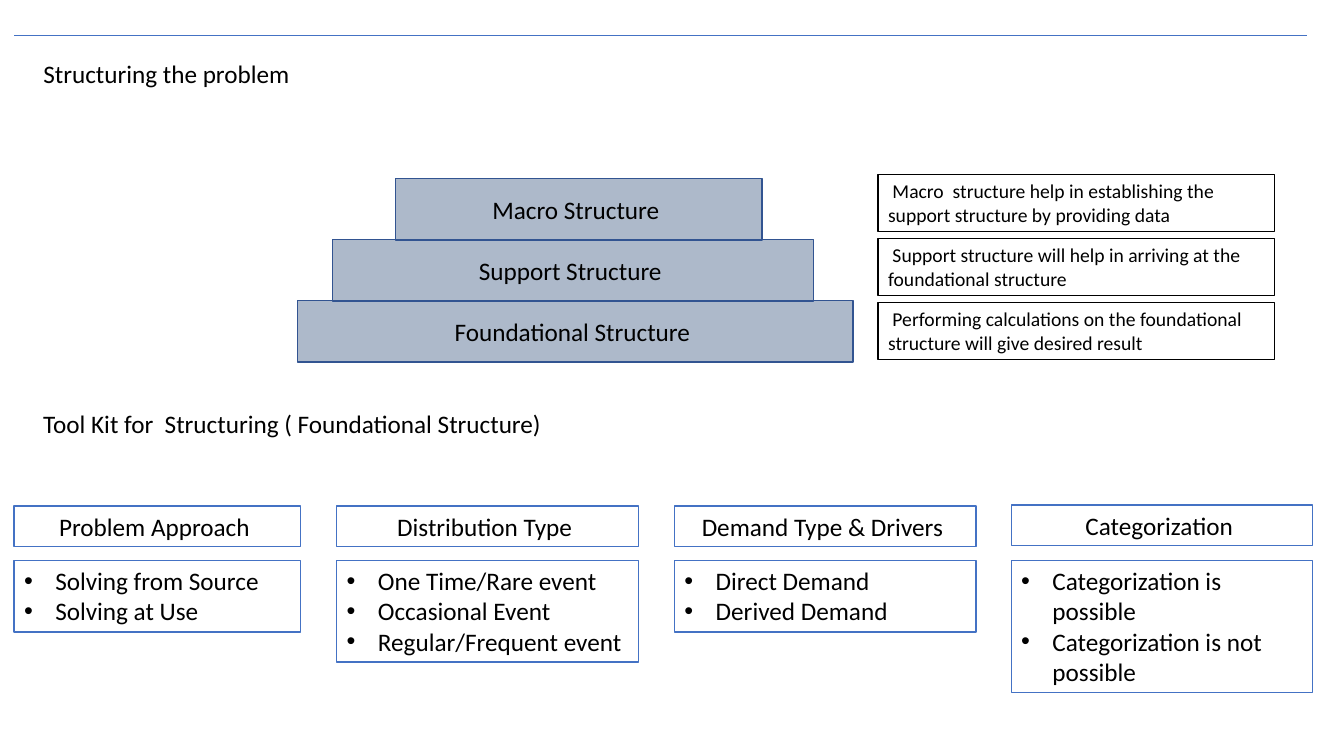
from lxml import etree
from pptx import Presentation
from pptx.dml.color import RGBColor
from pptx.enum.shapes import MSO_CONNECTOR, MSO_SHAPE
from pptx.enum.text import MSO_ANCHOR, MSO_AUTO_SIZE, PP_ALIGN
from pptx.oxml.ns import qn
from pptx.util import Inches, Pt

COLORS = {"blue": "4472C4", "navy": "325491", "steel": "ADB9CA",
          "white": "FFFFFF", "black": "000000"}
HEADER = {"vertical_anchor": MSO_ANCHOR.MIDDLE}
BODY = {"vertical_anchor": MSO_ANCHOR.TOP, "auto_size": MSO_AUTO_SIZE.SHAPE_TO_FIT_TEXT}


def write(sp, lines, frame, size=18, align=PP_ALIGN.LEFT, bullets=False):
    tf = sp.text_frame
    tf.word_wrap = True
    for name, value in frame.items():
        setattr(tf, name, value)
    for i, line in enumerate(lines):
        p = tf.paragraphs[0] if i == 0 else tf.add_paragraph()
        p.alignment = align
        r = p.add_run()
        r.text = line
        for name, value in {"name": "Calibri", "size": Pt(size)}.items():
            setattr(r.font, name, value)
        r.font.color.rgb = RGBColor.from_string(COLORS["black"])
        if bullets:
            pPr = p._p.get_or_add_pPr()
            pPr.set("marL", str(Inches(0.31)))
            pPr.set("indent", str(-Inches(0.31)))
            etree.SubElement(pPr, qn("a:buFont")).set("typeface", "Arial")
            etree.SubElement(pPr, qn("a:buChar")).set("char", "•")


def add_box(x, y, w, h, fill, line, lines, frame, **text_format):
    sp = s.shapes.add_shape(MSO_SHAPE.RECTANGLE, Inches(x), Inches(y), Inches(w), Inches(h))
    sp.shadow.inherit = False
    sp.fill.solid()
    sp.fill.fore_color.rgb = RGBColor.from_string(COLORS[fill])
    sp.line.color.rgb = RGBColor.from_string(COLORS[line])
    sp.line.width = Pt(1)
    write(sp, lines, frame, **text_format)


prs = Presentation()
prs.slide_width, prs.slide_height = Inches(13.33), Inches(7.5)
s = prs.slides.add_slide(prs.slide_layouts[5])

# Top rule
rule = s.shapes.add_connector(MSO_CONNECTOR.STRAIGHT, Inches(0.14), Inches(0.35),
                              Inches(12.96), Inches(0.35))
rule.line.color.rgb = RGBColor.from_string(COLORS["blue"])
rule.line.width = Pt(1)
etree.SubElement(rule._element.spPr, qn("a:effectLst"))

# Title and section heading
title = s.shapes.title
title.left, title.top, title.width, title.height = (Inches(v) for v in (0.33, 0.53, 12, 0.4))
write(title, ["Structuring the problem"], BODY)
heading = s.shapes.add_textbox(Inches(0.33), Inches(4), Inches(12), Inches(0.4))
write(heading, ["Tool Kit for  Structuring ( Foundational Structure)"], BODY)

# Pyramid levels with their notes, bottom to top
levels = [
    (2.95, 5.51, "Foundational Structure ",
     " Performing calculations on the foundational structure will give desired result"),
    (3.3, 4.77, "Support Structure ",
     " Support structure will help in arriving at the foundational structure"),
    (3.92, 3.64, "Macro Structure ",
     " Macro  structure help in establishing the support structure by providing data"),
]
for i, (x, w, name, note) in enumerate(levels):
    add_box(x, 2.98 - 0.605 * i, w, 0.61, "steel", "navy", [name], HEADER,
            align=PP_ALIGN.CENTER)
    add_box(8.71, 3 - 0.635 * i, 3.93, 0.57, "white", "black", [note], BODY, size=14)

# Tool kit columns: left, width, header top, body height
toolkit = [
    (0.14, 2.84, 5.02, 0.71, "Problem Approach ", ["Solving from Source", "Solving at Use"]),
    (3.34, 2.99, 5.02, 1.01, "Distribution Type ",
     ["One Time/Rare event", "Occasional Event", "Regular/Frequent event"]),
    (6.69, 2.99, 5.02, 0.71, "Demand Type & Drivers ", ["Direct Demand", "Derived Demand"]),
    (10.03, 2.99, 5.01, 1.31, "Categorization ",
     ["Categorization is possible", "Categorization is not possible"]),
]
for x, w, top, body_h, name, items in toolkit:
    add_box(x, top, w, 0.4, "white", "blue", [name], HEADER, align=PP_ALIGN.CENTER)
    add_box(x, 5.56, w, body_h, "white", "blue", items, BODY, bullets=True)

prs.save("out.pptx")
